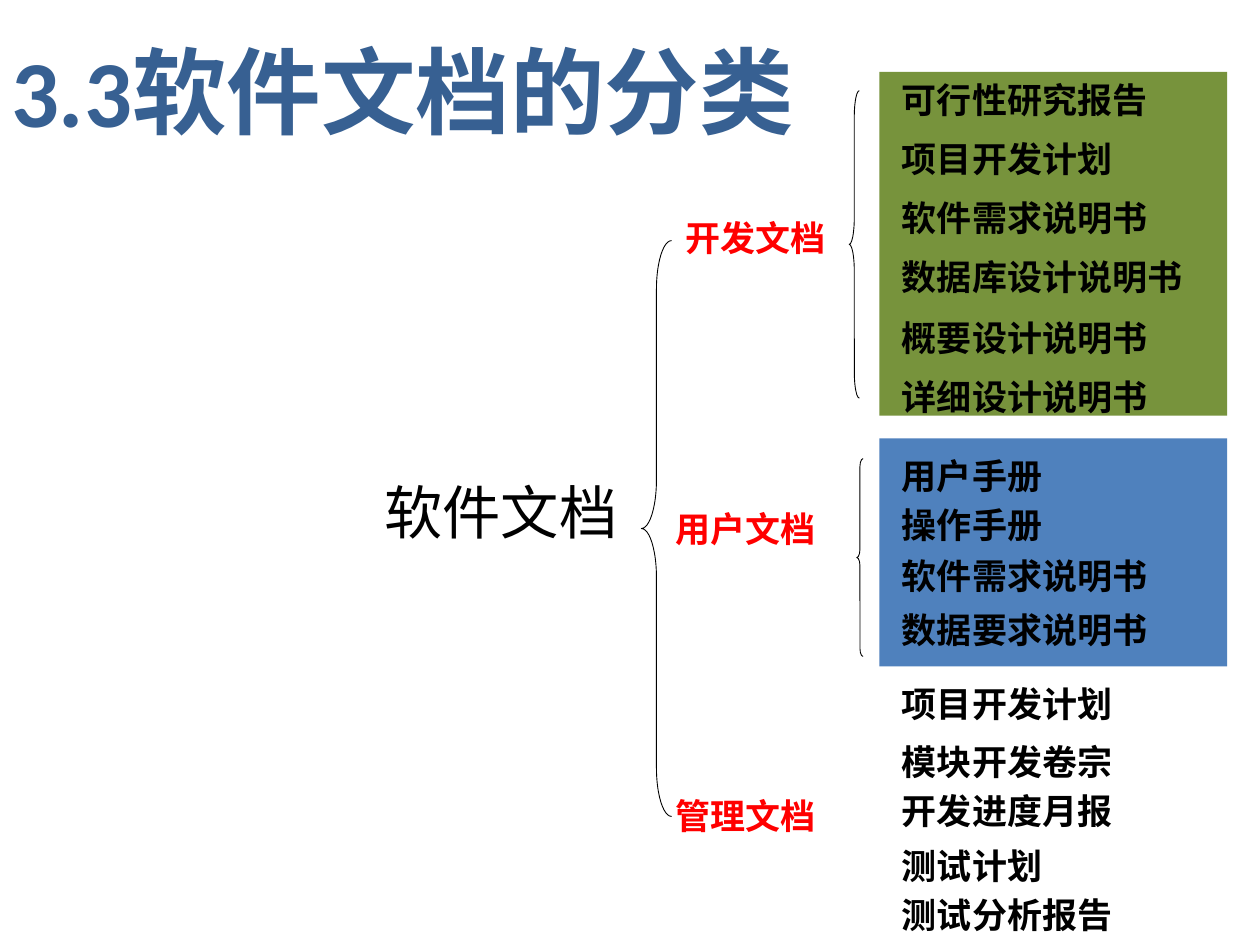
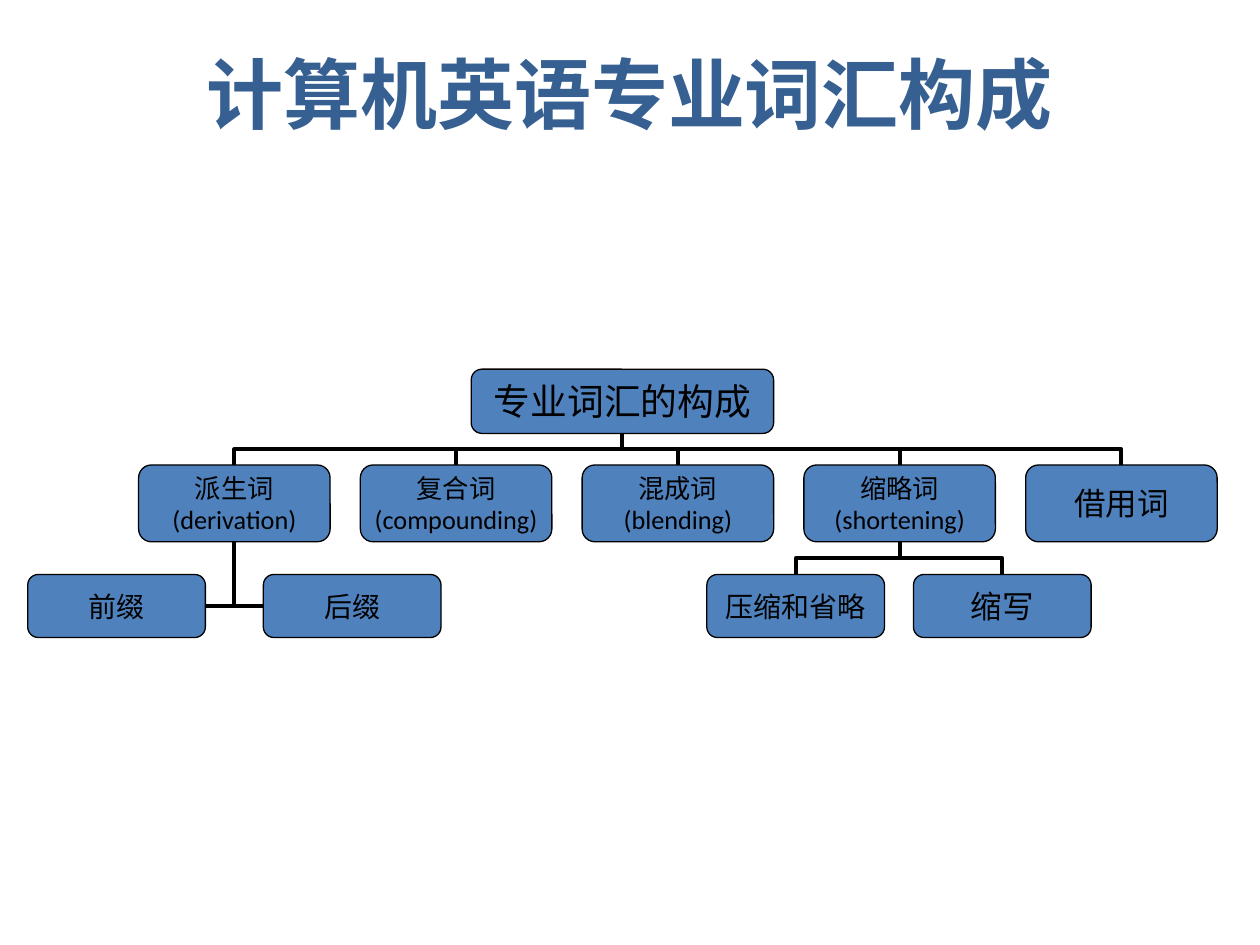
from lxml.etree import SubElement
from pptx import Presentation
from pptx.dml.color import RGBColor
from pptx.enum.shapes import MSO_CONNECTOR as CONNECTOR, MSO_SHAPE as SHAPE
from pptx.enum.text import MSO_ANCHOR as ANCHOR, PP_ALIGN as ALIGN
from pptx.oxml.ns import qn
from pptx.util import Inches, Pt

COLORS = {
    "title": "376092",
    "black": "000000",
    "category": "FF0000",
    "blue": "4F81BD",
    "green": "77933C",
}
BODY_FONT = "Calibri"
LABEL_FONT = "Times New Roman"
BLANK_LAYOUT = 6

SOFTWARE_TITLE = "3.3软件文档的分类"
SOFTWARE_ROOT = "软件文档"
CATEGORIES = [
    ("开发文档", 5.25, 1.67),
    ("用户文档", 5.17, 3.98),
    ("管理文档", 5.17, 6.26),
]
PANELS = [
    ("blue", 6.98, 3.48, 2.76, 1.81),
    ("green", 6.98, 0.57, 2.76, 2.73),
]
BRACES = [
    (5.09, 1.91, 0.24, 4.57, 1.61),
    (6.74, 0.72, 0.08, 2.44, 2.6),
    (6.8, 3.64, 0.05, 1.57, 1.26),
]
DOCUMENTS = [
    ("可行性研究报告", 0.57),
    ("项目开发计划", 1.04),
    ("软件需求说明书", 1.51),
    ("数据库设计说明书", 1.98),
    ("概要设计说明书", 2.46),
    ("详细设计说明书", 2.93),
    ("用户手册", 3.56),
    ("操作手册", 3.95),
    ("软件需求说明书", 4.35),
    ("数据要求说明书", 4.78),
    ("项目开发计划", 5.37),
    ("模块开发卷宗", 5.83),
    ("开发进度月报", 6.22),
    ("测试计划", 6.65),
    ("测试分析报告", 7.04),
]
DOCUMENT_LEFT, DOCUMENT_WIDTH, LABEL_HEIGHT = 7.06, 2.52, 0.44

VOCABULARY_TITLE = "计算机英语专业词汇构成"
VOCABULARY_ROOT = "专业词汇的构成"
WORD_KINDS = [
    (["派生词", "(derivation)"], 15),
    (["复合词", "(compounding)"], 15),
    (["混成词", "(blending)"], 15),
    (["缩略词", "(shortening)"], 15),
    (["借用词"], 18),
]
AFFIXES = [("前缀", 0.22, 16), ("后缀", 2.09, 16)]
SHORTENINGS = [("压缩和省略", 5.61, 16), ("缩写", 7.25, 18)]
KIND_LEFT, KIND_PITCH, KIND_TOP = 1.1, 1.76, 3.69
KIND_SIZE = (1.52, 0.61)
LEAF_TOP, LEAF_SIZE = 4.56, (1.41, 0.5)
TOP, LEFT, BOTTOM, RIGHT = range(4)


def color(name):
    return RGBColor.from_string(COLORS[name])


def write(shape, lines, size, font=BODY_FONT, tone="black", bold=False, align=ALIGN.LEFT):
    frame = shape.text_frame
    for index, line in enumerate(lines):
        paragraph = frame.paragraphs[0] if index == 0 else frame.add_paragraph()
        paragraph.alignment = align
        run = paragraph.add_run()
        run.text = line
        run.font.name = font
        run.font.size = Pt(size)
        run.font.bold = bold
        run.font.color.rgb = color(tone)


def add_text(slide, box, text, size, **style):
    shape = slide.shapes.add_textbox(*map(Inches, box))
    shape.text_frame.word_wrap = True
    write(shape, [text], size, **style)
    return shape


def add_title(slide, box, text, size, align=ALIGN.LEFT):
    return add_text(slide, box, text, size, tone="title", bold=True, align=align)


def add_figure(slide, kind, box, fill=None, line_width=None):
    shape = slide.shapes.add_shape(kind, *map(Inches, box))
    shape.shadow.inherit = False
    if fill:
        shape.fill.solid()
        shape.fill.fore_color.rgb = color(fill)
    else:
        shape.fill.background()
    if line_width:
        shape.line.color.rgb = color("black")
        shape.line.width = Pt(line_width)
    else:
        shape.line.fill.background()
    return shape


def add_node(slide, lines, left, top, dimensions, size):
    box = (left, top, *dimensions)
    node = add_figure(slide, SHAPE.ROUNDED_RECTANGLE, box, "blue", 0.75)
    frame = node.text_frame
    frame.word_wrap = False
    frame.vertical_anchor = ANCHOR.MIDDLE
    frame.margin_left = frame.margin_right = Inches(0.05)
    frame.margin_top = frame.margin_bottom = Inches(0.02)
    write(node, lines, size, align=ALIGN.CENTER)
    return node


def join(slide, child, parent, child_side):
    connector = slide.shapes.add_connector(CONNECTOR.ELBOW, 0, 0, 0, 0)
    connector.begin_connect(child, child_side)
    connector.end_connect(parent, BOTTOM)
    connector.line.color.rgb = color("black")
    connector.line.width = Pt(2.25)
    properties = connector._element.spPr
    SubElement(properties, qn("a:effectLst"))
    if child_side == TOP:
        turn_upright(connector, properties.find(qn("a:xfrm")))
    else:
        properties.find(qn("a:prstGeom")).set("prst", "bentConnector2")


def turn_upright(connector, transform):
    child_is_right = connector.begin_x > connector.end_x
    width, height = connector.width, connector.height
    center_x = connector.left + width // 2
    center_y = connector.top + height // 2
    for flip in ("flipH", "flipV"):
        transform.attrib.pop(flip, None)
    connector.left, connector.top = center_x - height // 2, center_y - width // 2
    connector.width, connector.height = height, width
    transform.set("rot", str((90 if child_is_right else 270) * 60000))
    if child_is_right:
        transform.set("flipH", "1")


def build_software_slide(slide):
    root = add_text(slide, (2.86, 3.73, 2.2, 0.7), SOFTWARE_ROOT, 33.3)
    root.text_frame.margin_left = Inches(0.19)
    root.text_frame.margin_right = 0
    for fill, *box in PANELS:
        add_figure(slide, SHAPE.RECTANGLE, box, fill)
    for *box, curl in BRACES:
        brace = add_figure(slide, SHAPE.LEFT_BRACE, box, line_width=0.5)
        brace.adjustments[0] = curl
    for text, left, top in CATEGORIES:
        add_text(slide, (left, top, 1.49, LABEL_HEIGHT), text, 20, font=LABEL_FONT,
                 tone="category", bold=True, align=ALIGN.CENTER)
    for text, top in DOCUMENTS:
        add_text(slide, (DOCUMENT_LEFT, top, DOCUMENT_WIDTH, LABEL_HEIGHT), text, 20,
                 font=LABEL_FONT, bold=True)
    add_title(slide, (-0.01, 0.21, 6.5, 1.01), SOFTWARE_TITLE, 54)


def build_vocabulary_slide(slide):
    title = add_title(slide, (0.5, 0.11, 9, 1.25), VOCABULARY_TITLE, 44, ALIGN.CENTER)
    title.text_frame.vertical_anchor = ANCHOR.MIDDLE
    root = add_node(slide, [VOCABULARY_ROOT], 3.74, 2.93, (2.4, 0.51), 21)
    kinds = []
    for index, (lines, size) in enumerate(WORD_KINDS):
        left = KIND_LEFT + index * KIND_PITCH
        kinds.append(add_node(slide, lines, left, KIND_TOP, KIND_SIZE, size))
        join(slide, kinds[-1], root, TOP)
    branches = [(kinds[0], AFFIXES, (RIGHT, LEFT)), (kinds[3], SHORTENINGS, (TOP, TOP))]
    for parent, leaves, sides in branches:
        for (text, left, size), side in zip(leaves, sides):
            leaf = add_node(slide, [text], left, LEAF_TOP, LEAF_SIZE, size)
            join(slide, leaf, parent, side)


def main():
    presentation = Presentation()
    presentation.slide_width = Inches(10)
    presentation.slide_height = Inches(7.5)
    for build in (build_software_slide, build_vocabulary_slide):
        build(presentation.slides.add_slide(presentation.slide_layouts[BLANK_LAYOUT]))
    presentation.save("out.pptx")


if __name__ == "__main__":
    main()
